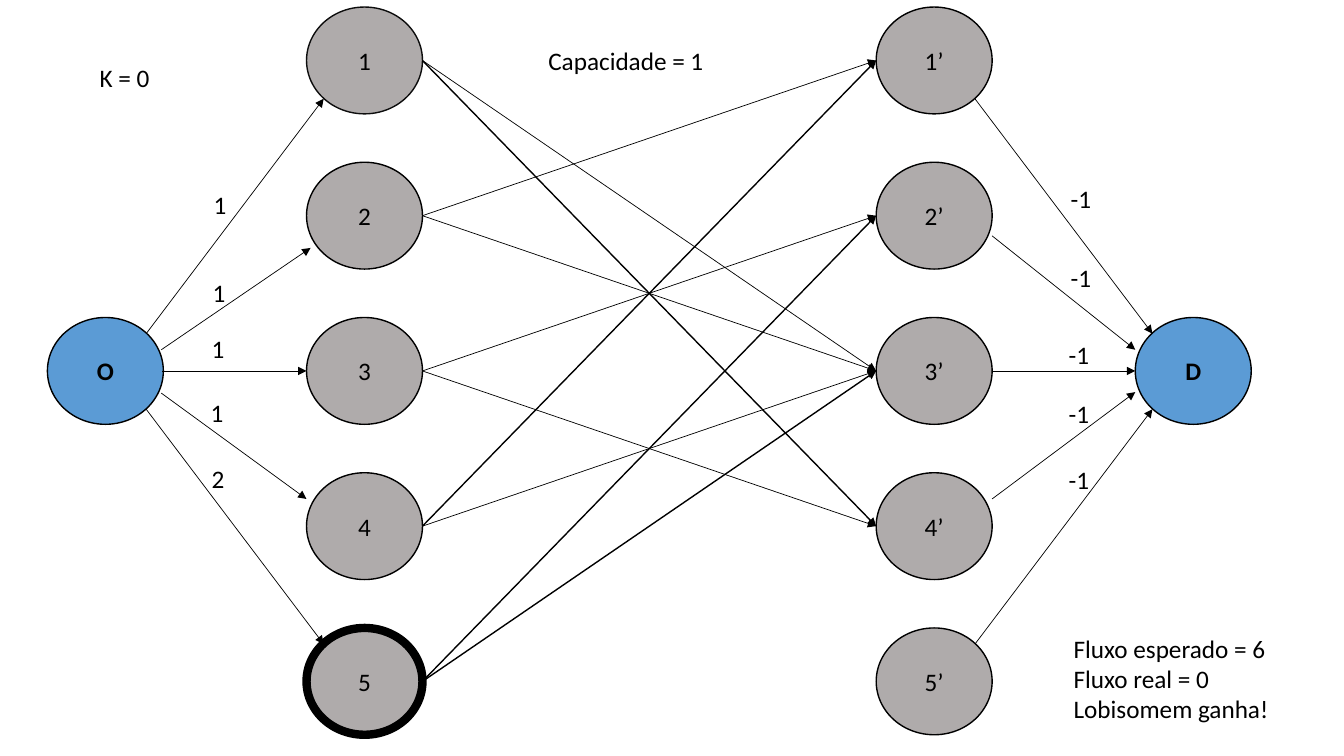
from lxml import etree
from pptx import Presentation
from pptx.dml.color import RGBColor
from pptx.enum.shapes import MSO_CONNECTOR as Connector, MSO_SHAPE as Shape
from pptx.enum.text import MSO_ANCHOR as Anchor, MSO_AUTO_SIZE as AutoSize, PP_ALIGN as Align
from pptx.oxml.ns import qn
from pptx.util import Pt

PX = 9144  # EMU in one px, 100 px to the inch
COLORS = {"node": "AFABAB", "terminal": "5B9BD5", "ink": "000000", "first": "0D0D0D"}
FONT = "Calibri"
NODE_W, NODE_H = 115, 106
ROW_TOP, ROW_STEP = 7, 154
LEFT_X, RIGHT_X = 304, 869
LABEL_H = 40

# (from row, to row, line width)
MATCHES = [
    (1, 3, 0.5), (1, 4, 1), (2, 1, 0.5), (2, 3, 0.5), (3, 2, 0.5),
    (3, 4, 0.5), (4, 1, 1), (4, 3, 0.5), (5, 2, 1), (5, 3, 1),
]
# (start, end, label, label left and top)
SUPPLY = [
    ((145, 331), (321, 98), "1", (202, 183)),
    ((160, 347), (308, 246), "1", (201, 270)),
    ((161, 368), (304, 368), "1", (200, 326)),
    ((160, 390), (304, 495), "1", (199, 389)),
    ((145, 406), (321, 639), "2", (200, 455)),
]
DEMAND = [
    ((967, 98), (1143, 331), "-1", (1052, 177)),
    ((984, 234), (1126, 347), "-1", (1052, 255)),
    ((984, 368), (1126, 368), "-1", (1050, 332)),
    ((984, 495), (1126, 389), "-1", (1050, 390)),
    ((967, 639), (1143, 406), "-1", (1050, 456)),
]


def rgb(name):
    return RGBColor.from_string(COLORS[name])


def scaled(*lengths):
    return [length * PX for length in lengths]


def write(frame, text, bold=None, align=None):
    frame.text = text
    for para in frame.paragraphs:
        para.alignment = align
        for span in para.runs:
            span.font.name = FONT
            span.font.size = Pt(18)
            span.font.bold = bold
            span.font.color.rgb = rgb("ink")


def add_node(page, left, top, text, fill="node", line="ink", width=1, bold=None):
    node = page.shapes.add_shape(Shape.OVAL, *scaled(left, top, NODE_W, NODE_H))
    node.shadow.inherit = False
    node.fill.solid()
    node.fill.fore_color.rgb = rgb(fill)
    node.line.color.rgb = rgb(line)
    node.line.width = Pt(width)
    node.text_frame.vertical_anchor = Anchor.MIDDLE
    write(node.text_frame, text, bold, Align.CENTER)


def add_arrow(page, start, end, width=0.5):
    arrow = page.shapes.add_connector(Connector.STRAIGHT, *scaled(*start, *end))
    arrow.line.color.rgb = rgb("ink")
    arrow.line.width = Pt(width)
    tip = etree.SubElement(arrow.line._get_or_add_ln(), qn("a:tailEnd"))
    tip.set("type", "triangle")
    etree.SubElement(arrow._element.spPr, qn("a:effectLst"))


def add_label(page, box, text, wrap=False):
    label = page.shapes.add_textbox(*scaled(*box))
    frame = label.text_frame
    frame.word_wrap = wrap
    frame.auto_size = AutoSize.SHAPE_TO_FIT_TEXT
    write(frame, text)


def add_column(page, left, mark="", emphasis=None, first_line="ink"):
    """Five nodes, one a row; the emphasised row has a thick outline."""
    for row in range(1, 6):
        add_node(page, left, ROW_TOP + (row - 1) * ROW_STEP, f"{row}{mark}",
                 line=first_line if row == 1 else "ink",
                 width=6 if row == emphasis else 1)


def add_matches(page, left, right):
    """Arrows from the side of one column to the side of the other."""
    def middle(row):
        return ROW_TOP + NODE_H // 2 + (row - 1) * ROW_STEP

    for origin, target, width in MATCHES:
        add_arrow(page, (left, middle(origin)), (right, middle(target)), width)


def add_flows(page, flows, label_width):
    """Arrows at a terminal, each with its amount."""
    for start, end, text, corner in flows:
        add_arrow(page, start, end)
        add_label(page, (*corner, label_width, LABEL_H), text)


def build_network(page):
    # Nodes
    add_column(page, LEFT_X, emphasis=5, first_line="first")
    add_column(page, RIGHT_X, mark="’")
    terminal_top = ROW_TOP + 2 * ROW_STEP
    for left, text in ((47, "O"), (1126, "D")):
        add_node(page, left, terminal_top, text, fill="terminal", bold=True)

    # Arrows and amounts
    add_flows(page, SUPPLY, 33)
    add_flows(page, DEMAND, 41)
    add_matches(page, LEFT_X + NODE_W, RIGHT_X)

    # Captions
    add_label(page, (534, 40, 176, LABEL_H), "Capacidade = 1")
    add_label(page, (89, 57, 70, LABEL_H), "K = 0")
    add_label(page, (1055, 623, 231, 101),
              "Fluxo esperado = 6\nFluxo real = 0\nLobisomem ganha!", wrap=True)


def main():
    deck = Presentation()
    deck.slide_width, deck.slide_height = scaled(1333, 750)
    page = deck.slides.add_slide(deck.slide_layouts[6])
    build_network(page)
    deck.save("out.pptx")


if __name__ == "__main__":
    main()
